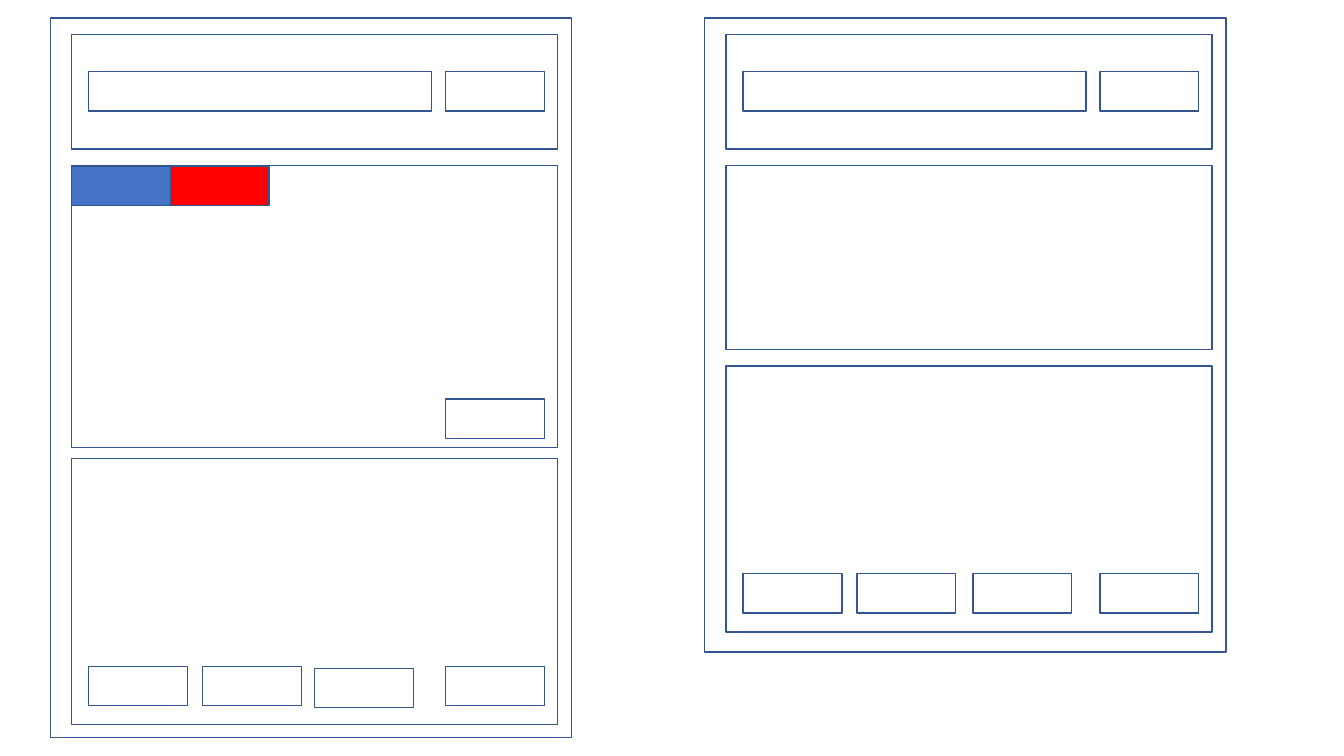
from dataclasses import dataclass

from pptx import Presentation
from pptx.dml.color import RGBColor
from pptx.enum.shapes import MSO_SHAPE
from pptx.util import Inches, Pt

RECT = MSO_SHAPE.RECTANGLE


@dataclass(frozen=True)
class Theme:
    line: RGBColor = RGBColor(0x32, 0x54, 0x91)
    blue: RGBColor = RGBColor(0x44, 0x72, 0xC4)
    red: RGBColor = RGBColor(0xFF, 0x00, 0x00)
    width: Pt = Pt(1)


THEME = Theme()

# Shared sizes, in inches
FRAME_W, FRAME_TOP = 5.17, 0.18
PANEL_W, PANEL_DX = 4.82, 0.21
HEAD_TOP, HEAD_H = 0.34, 1.14
BODY_TOP, FOOT_H = 1.64, 2.64
FIELD_W, FIELD_TOP = 3.4, 0.71
BUTTON_W, BUTTON_H = 0.98, 0.39
FIRST_DX, SECOND_DX, LAST_DX = 0.38, 1.51, 3.92
BUTTON_DY = 2.06


def add_box(slide, left, top, width, height, fill=None):
    box = slide.shapes.add_shape(
        RECT, Inches(left), Inches(top), Inches(width), Inches(height))
    box.shadow.inherit = False
    if fill is None:
        box.fill.background()
    else:
        box.fill.solid()
        box.fill.fore_color.rgb = fill
    box.line.color.rgb = THEME.line
    box.line.width = THEME.width


def add_button(slide, left, top, fill=None):
    add_box(slide, left, top, BUTTON_W, BUTTON_H, fill)


def add_panel(slide, left, top, height):
    add_box(slide, left + PANEL_DX, top, PANEL_W, height)


def add_screen(slide, left, height, body_h, foot_top, third_dx, third_dy=0):
    add_box(slide, left, FRAME_TOP, FRAME_W, height)

    # Header: input field and its button
    add_panel(slide, left, HEAD_TOP, HEAD_H)
    add_box(slide, left + FIRST_DX, FIELD_TOP, FIELD_W, BUTTON_H)
    add_button(slide, left + LAST_DX, FIELD_TOP)

    # Body
    add_panel(slide, left, BODY_TOP, body_h)

    # Footer: row of four buttons
    add_panel(slide, left, foot_top, FOOT_H)
    row_top = foot_top + BUTTON_DY
    for dx in (FIRST_DX, SECOND_DX, LAST_DX):
        add_button(slide, left + dx, row_top)
    add_button(slide, left + third_dx, row_top + third_dy)


def add_tabs(slide, left):
    tab_left = left + PANEL_DX
    add_button(slide, tab_left + BUTTON_W, BODY_TOP + 0.01, THEME.red)
    add_button(slide, tab_left, BODY_TOP + 0.01, THEME.blue)


def main():
    prs = Presentation()
    prs.slide_width, prs.slide_height = Inches(13.33), Inches(7.5)
    slide = prs.slides.add_slide(prs.slide_layouts[6])

    # Tall screen with tabs and a body button
    tall = 0.5
    add_screen(slide, tall, 7.14, 2.8, 4.55, 2.62, 0.02)
    add_button(slide, tall + LAST_DX, 3.96)
    add_tabs(slide, tall)

    # Short screen
    add_screen(slide, 6.99, 6.29, 1.83, 3.63, 2.66)

    prs.save("out.pptx")


if __name__ == "__main__":
    main()
